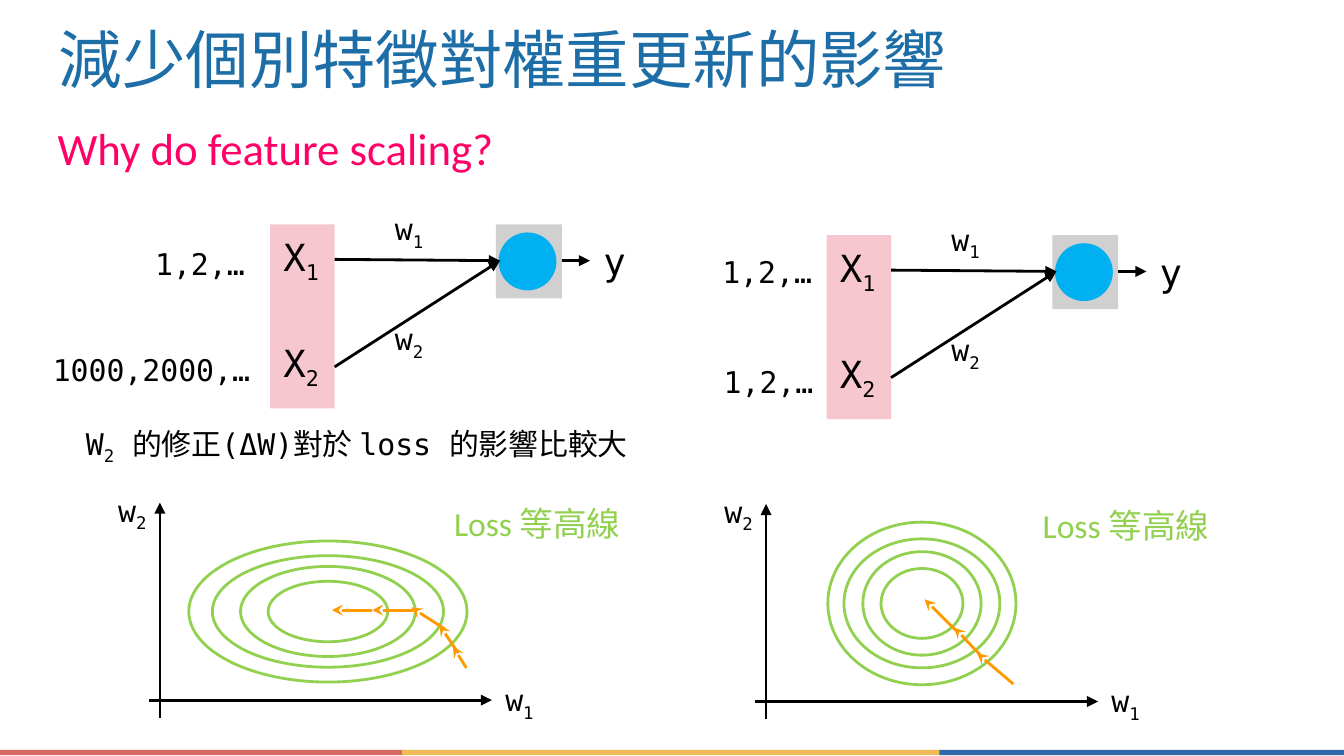
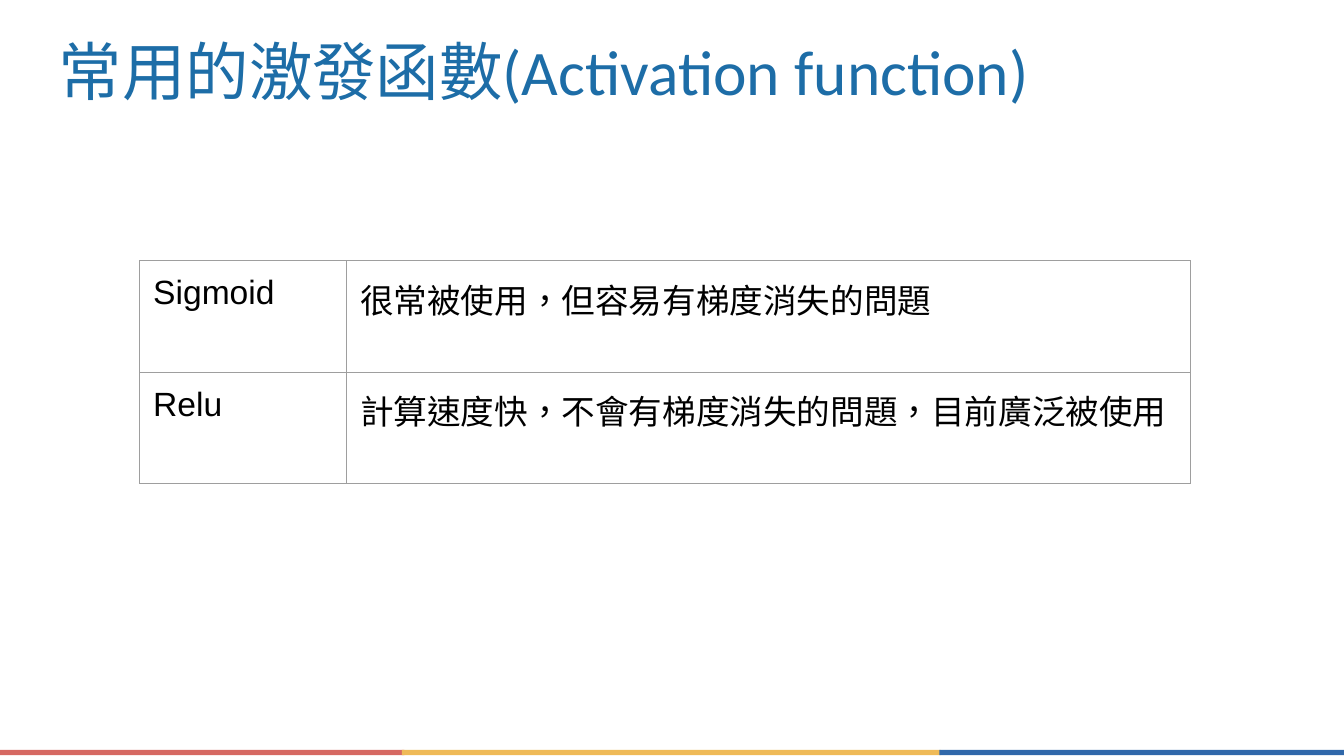
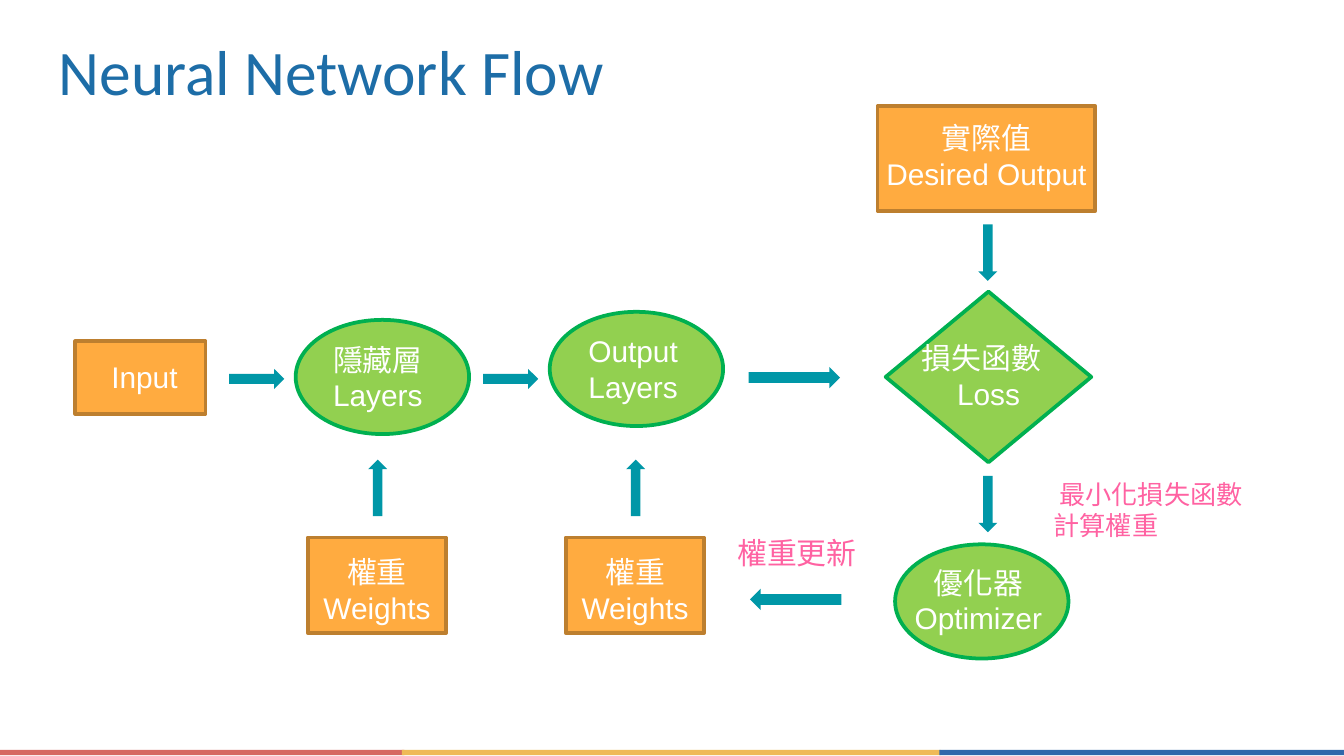
from itertools import cycle

from lxml.etree import SubElement
from pptx import Presentation
from pptx.dml.color import RGBColor
from pptx.enum.lang import MSO_LANGUAGE_ID
from pptx.enum.shapes import MSO_CONNECTOR, MSO_SHAPE
from pptx.enum.text import MSO_ANCHOR, PP_ALIGN
from pptx.oxml.ns import qn
from pptx.util import Inches, Pt

SANS, TITLE_FONT, MONO = "Arial", "Calibri", "DejaVu Sans Mono"
BLACK, WHITE = "000000", "FFFFFF"
TITLE_BLUE, HOT_PINK, NOTE_PINK = "1D6DA7", "FF0066", "FF62A2"
INPUT_PINK, NEURON_GREY, NEURON_BLUE = "F6C7CF", "D0D0D0", "00B0F0"
GREEN, DARK_GREEN = "92D050", "00B050"
ORANGE, DARK_ORANGE, STEP_ORANGE = "FFAB40", "BD7F2F", "FF9900"
TEAL, BORDER_GREY = "0097A7", "9E9E9E"
BANDS = [(0, 3.01, "D66962"), (2.99, 4.01, "EFBA57"), (6.99, 3.01, "3068AA")]
ALIGNMENTS = {"l": PP_ALIGN.LEFT, "c": PP_ALIGN.CENTER, "r": PP_ALIGN.RIGHT}


def rgb(color):
    return RGBColor.from_string(color)


def inches(*lengths):
    return [Inches(length) for length in lengths]


def add_runs(paragraph, text, size, color, font):
    """Add text as runs; a part between underscores becomes a subscript."""
    for index, part in enumerate(text.split("_")):
        if not part:
            continue
        run = paragraph.add_run()
        run.text = part
        run.font.size = Pt(size)
        run.font.name = font
        run.font.color.rgb = rgb(color)
        run.font.language_id = MSO_LANGUAGE_ID.TRADITIONAL_CHINESE
        if index % 2:
            run.font._element.set("baseline", "-25000")


def add_text(slide, box, lines, size, color=BLACK, font=SANS, align="l",
             anchor=MSO_ANCHOR.TOP, margin=0.05, wrap=True):
    """Add a text box; align holds one letter per line, repeated as needed."""
    frame = slide.shapes.add_textbox(*inches(*box)).text_frame
    frame.word_wrap = wrap
    frame.vertical_anchor = anchor
    frame.margin_left = frame.margin_right = Inches(0.1)
    frame.margin_top = frame.margin_bottom = Inches(margin)
    for index, (line, letter) in enumerate(zip(lines, cycle(align))):
        paragraph = frame.add_paragraph() if index else frame.paragraphs[0]
        paragraph.alignment = ALIGNMENTS[letter]
        add_runs(paragraph, line, size, color, font)
    return frame


def add_label(slide, box, text, size=16, color=BLACK, font=MONO, align="l",
              wrap=False):
    add_text(slide, box, [text], size, color, font, align, MSO_ANCHOR.MIDDLE,
             wrap=wrap)


def add_shape(slide, kind, box, fill=None, line=None, width=1.5):
    shape = slide.shapes.add_shape(kind, *inches(*box))
    shape.shadow.inherit = False
    if fill:
        shape.fill.solid()
        shape.fill.fore_color.rgb = rgb(fill)
    else:
        shape.fill.background()
    if line:
        shape.line.color.rgb = rgb(line)
        shape.line.width = Pt(width)
    else:
        shape.line.fill.background()
    return shape


def add_arrow(slide, start, end, color=BLACK, head="triangle"):
    connector = slide.shapes.add_connector(
        MSO_CONNECTOR.STRAIGHT, *inches(*start, *end))
    connector.line.color.rgb = rgb(color)
    connector.line.width = Pt(1.5)
    properties = connector._element.spPr
    SubElement(properties.find(qn("a:ln")), qn("a:tailEnd"), type=head)
    SubElement(properties, qn("a:effectLst"))


def add_titled_slide(presentation, title, top=0.2):
    slide = presentation.slides.add_slide(presentation.slide_layouts[6])
    for left, width, color in BANDS:
        add_shape(slide, MSO_SHAPE.RECTANGLE, (left, 5.58, width, 0.04), color)
    add_text(slide, (0.34, top, 9.32, 0.64), [title], 34, TITLE_BLUE,
             TITLE_FONT, anchor=MSO_ANCHOR.MIDDLE, margin=0.1)
    return slide


def add_network(slide, left, top, input_labels, wrap=False):
    """Draw two inputs feeding one neuron; labels are (text, x, y, width)."""
    def at(x, y, *size):
        return (left + x, top + y, *size)

    add_shape(slide, MSO_SHAPE.RECTANGLE, at(0, 0, 0.48, 1.37), INPUT_PINK)
    add_shape(slide, MSO_SHAPE.RECTANGLE, at(1.68, 0, 0.49, 0.55), NEURON_GREY)
    add_shape(slide, MSO_SHAPE.OVAL, at(1.71, 0.07, 0.41, 0.41),
              NEURON_BLUE, NEURON_BLUE)
    add_arrow(slide, at(0.48, 1.06), at(1.71, 0.27))
    add_arrow(slide, at(0.48, 0.26), at(1.71, 0.27))
    add_arrow(slide, at(2.17, 0.27), at(2.38, 0.27))
    for text, x, y, size in [("X_1_", 0, 0.07, 20), ("X_2_", 0, 0.86, 20),
                             ("w_1_", 0.83, -0.14, 16),
                             ("w_2_", 0.83, 0.68, 16), ("y", 2.38, 0.08, 20)]:
        add_label(slide, at(x, y, 0.48, 0.38), text, size)
    for text, x, y, width in input_labels:
        add_label(slide, at(x, y, width, 0.38), text, align="r", wrap=wrap)


def add_contour_plot(slide, left, top, center, ring_sizes, steps, caption,
                     wrap=False):
    """Draw axes, concentric loss rings and the descent steps across them."""
    def at(x, y, *size):
        return (left + x, top + y, *size)

    add_arrow(slide, at(0, 1.47), at(2.55, 1.47))
    add_arrow(slide, at(0.08, 1.6), at(0.08, 0))
    add_label(slide, at(2.55, 1.35, 0.41, 0.27), "w_1_", align="c")
    add_label(slide, at(-0.33, -0.06, 0.41, 0.27), "w_2_", align="c")
    for width, height in ring_sizes:
        box = at(center[0] - width / 2, center[1] - height / 2, width, height)
        add_shape(slide, MSO_SHAPE.OVAL, box, line=GREEN)
    caption_left, caption_width = caption
    add_label(slide, at(caption_left, 0, caption_width, 0.31), "Loss 等高線",
              18, GREEN, TITLE_FONT, wrap=wrap)
    for start, end in steps:
        add_arrow(slide, at(*start), at(*end), STEP_ORANGE, "stealth")


def build_scaling_slide(presentation):
    slide = add_titled_slide(presentation, "減少個別特徵對權重更新的影響", 0.11)
    body = add_text(slide, (0.33, 0.74, 9.32, 4.39), ["Why do feature scaling?"],
                    24, HOT_PINK, TITLE_FONT, margin=0.1)
    body.paragraphs[0].line_spacing = 1.15
    add_network(slide, 2.01, 1.67, [("1,2,…", -1.11, 0.1, 1.02),
                                    ("1000,2000,…", -1.75, 0.89, 1.7)])
    add_network(slide, 6.15, 1.75, [("1,2,…", -0.93, 0.08, 0.92),
                                    ("1,2,…", -0.95, 0.9, 0.95)], wrap=True)
    add_label(slide, (0.54, 3.04, 4.59, 0.55),
              "W_2_ 的修正(ΔW)對於 loss 的影響比較大")
    add_contour_plot(
        slide, 1.11, 3.74, center=(1.33, 0.81),
        ring_sizes=[(2.07, 1.05), (1.72, 0.83), (1.3, 0.67), (0.89, 0.45)],
        steps=[((2.36, 1.23), (2.26, 1.07)), ((2.3, 1.12), (2.16, 0.91)),
               ((2.2, 0.94), (1.95, 0.78)), ((1.96, 0.8), (1.66, 0.8)),
               ((1.66, 0.8), (1.36, 0.8))],
        caption=(2.17, 1.49), wrap=True)
    add_contour_plot(
        slide, 5.62, 3.75, center=(1.24, 0.74),
        ring_sizes=[(1.4, 1.21), (1.16, 0.96), (0.88, 0.77), (0.61, 0.52)],
        steps=[((1.92, 1.34), (1.65, 1.11)), ((1.67, 1.12), (1.48, 0.92)),
               ((1.49, 0.94), (1.26, 0.71))],
        caption=(2.04, 1.55))


def format_cell(cell, text):
    cell.margin_left = cell.margin_right = Inches(0.1)
    cell.margin_top = cell.margin_bottom = Inches(0.1)
    add_runs(cell.text_frame.paragraphs[0], text, 18, BLACK, SANS)
    properties = cell._tc.get_or_add_tcPr()
    for side in ("lnL", "lnR", "lnT", "lnB"):
        border = SubElement(properties, qn(f"a:{side}"), w=str(Pt(0.75)))
        fill = SubElement(border, qn("a:solidFill"))
        SubElement(fill, qn("a:srgbClr"), val=BORDER_GREY)
    cell.fill.background()


def build_activation_slide(presentation):
    slide = add_titled_slide(presentation, "常用的激發函數(Activation function)")
    rows = [("Sigmoid", "很常被使用，但容易有梯度消失的問題"),
            ("Relu", "計算速度快，不會有梯度消失的問題，目前廣泛被使用")]
    table = slide.shapes.add_table(
        len(rows), 2, *inches(1.04, 1.94, 7.82, 1.66)).table
    table.first_row = table.horz_banding = False
    for column, width in zip(table.columns, (1.54, 6.28)):
        column.width = Inches(width)
    for row_index, texts in enumerate(rows):
        table.rows[row_index].height = Inches(0.83)
        for column_index, text in enumerate(texts):
            format_cell(table.cell(row_index, column_index), text)


def add_node(slide, kind, box, lines, text_box, align="c"):
    """Draw a flow node; text_box is relative to the node's corner."""
    is_data = kind == MSO_SHAPE.RECTANGLE
    fill, line = (ORANGE, DARK_ORANGE) if is_data else (GREEN, DARK_GREEN)
    add_shape(slide, kind, box, fill, line, 2)
    x, y, width, height = text_box
    add_text(slide, (box[0] + x, box[1] + y, width, height), lines, 16, WHITE,
             align=align)


def add_block_arrow(slide, center, length, thickness, rotation=0):
    box = (center[0] - length / 2, center[1] - thickness / 2, length, thickness)
    arrow = add_shape(slide, MSO_SHAPE.RIGHT_ARROW, box, TEAL)
    arrow.rotation = rotation


def build_flow_slide(presentation):
    slide = add_titled_slide(presentation, "Neural Network Flow")
    rectangle, oval = MSO_SHAPE.RECTANGLE, MSO_SHAPE.OVAL
    add_node(slide, rectangle, (0.56, 2.54, 0.97, 0.54), ["Input"],
             (0.17, 0.08, 0.79, 0.37), "l")
    add_node(slide, oval, (2.2, 2.38, 1.29, 0.85), ["隱藏層", "Layers"],
             (0.18, 0.11, 1.03, 0.64), "l")
    add_node(slide, oval, (4.09, 2.32, 1.29, 0.85), ["Output", "Layers"],
             (0.19, 0.11, 0.92, 0.64), "l")
    add_node(slide, MSO_SHAPE.DIAMOND, (6.59, 2.17, 1.53, 1.27),
             ["損失函數", "Loss"], (0.17, 0.31, 1.19, 0.64), "lc")
    add_node(slide, oval, (6.66, 4.05, 1.29, 0.85), ["優化器", "Optimizer"],
             (0.04, 0.1, 1.16, 0.64))
    add_node(slide, rectangle, (6.53, 0.79, 1.62, 0.78),
             ["實際值", "Desired Output"], (-0.1, 0.05, 1.82, 0.64))
    for left in (2.29, 4.21):
        add_node(slide, rectangle, (left, 4, 1.03, 0.71), ["權重", "Weights"],
                 (-0.04, 0.07, 1.11, 0.64))

    for x in (1.91, 3.8):
        add_block_arrow(slide, (x, 2.82), 0.41, 0.15)
    add_block_arrow(slide, (5.91, 2.81), 0.68, 0.16)
    add_block_arrow(slide, (5.92, 4.46), 0.68, 0.16, 180)
    for x in (2.81, 4.73):
        add_block_arrow(slide, (x, 3.63), 0.42, 0.14, 270)
    for y in (1.88, 3.75):
        add_block_arrow(slide, (7.35, y), 0.42, 0.14, 90)

    add_text(slide, (5.33, 3.93, 1.2, 0.37), ["權重更新"], 16, NOTE_PINK,
             align="c")
    add_text(slide, (7.74, 3.51, 1.65, 0.57), ["最小化損失函數", "計算權重"], 14,
             NOTE_PINK, align="cl")


def main():
    presentation = Presentation()
    presentation.slide_width = Inches(10)
    presentation.slide_height = presentation.slide_width * 9 // 16
    build_scaling_slide(presentation)
    build_activation_slide(presentation)
    build_flow_slide(presentation)
    presentation.save("out.pptx")


if __name__ == "__main__":
    main()
